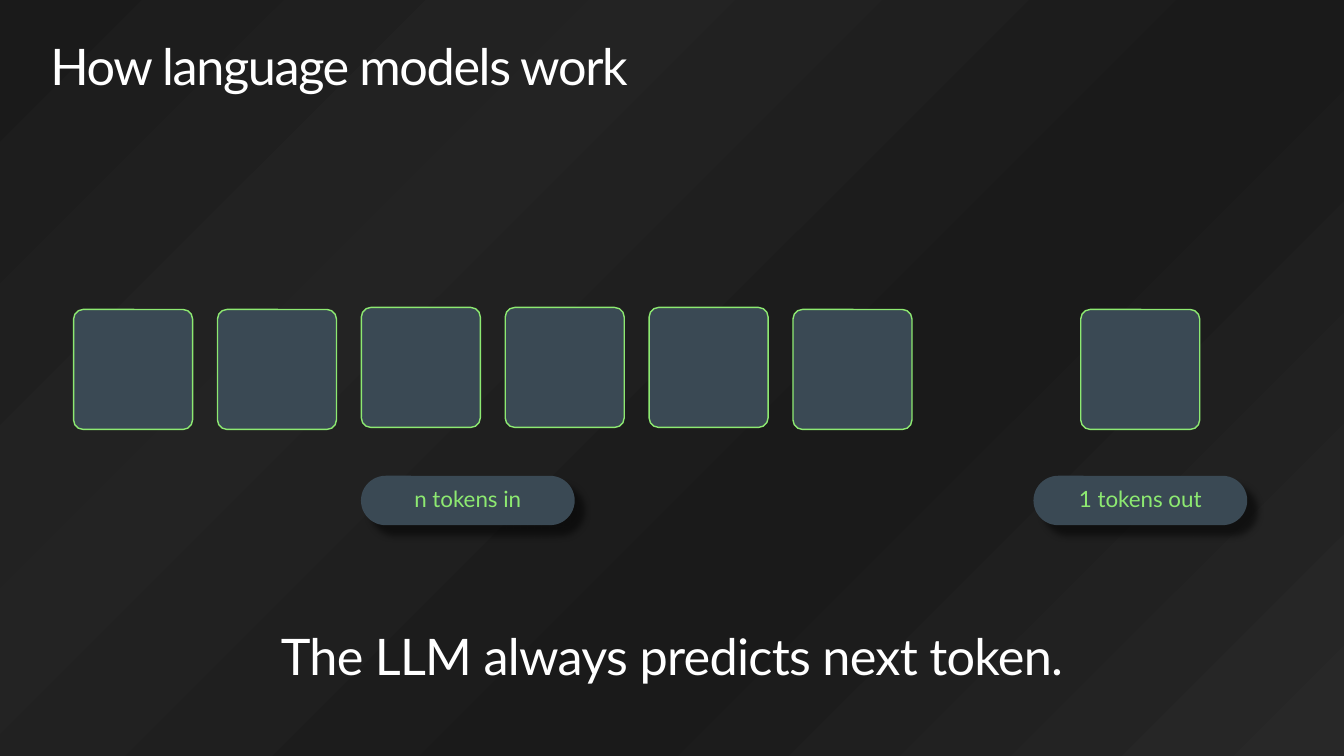
from lxml.etree import SubElement
from pptx import Presentation
from pptx.dml.color import RGBColor
from pptx.enum.shapes import MSO_SHAPE
from pptx.enum.text import MSO_ANCHOR, PP_ALIGN
from pptx.oxml.ns import qn
from pptx.util import Inches, Pt

FONT = "Lato"
WHITE = "FFFFFF"
GREEN = "8DE971"
SLATE = "3A4954"
BACKGROUND_STOPS = [(0, "1A1A1A"), (27, "222222"), (28, "232323"), (63, "1A1A1A"), (100, "282828")]
TOKEN_PITCH = 1.427
TOKEN_TOPS = {0: 3.07, 1: 3.07, 2: 3.05, 3: 3.05, 4: 3.05, 5: 3.07, 7: 3.07}


def color(value):
    """Turn a hex string into a colour."""
    return RGBColor.from_string(value)


def set_background(slide):
    """Fill the slide with a diagonal dark gradient."""
    fill = slide.background.fill
    fill.gradient()
    fill.gradient_angle = 315
    stops = slide.element.xpath(".//a:gsLst")[0]
    stops.clear()
    for position, value in BACKGROUND_STOPS:
        stop = SubElement(stops, qn("a:gs"), pos=str(position * 1000))
        SubElement(stop, qn("a:srgbClr"), val=value)


def write_text(shape, text, size, value, align, margins, spacing=0, line_spacing=1.0):
    """Write one styled line into a shape."""
    frame = shape.text_frame
    frame.word_wrap = True
    horizontal, vertical = margins
    frame.margin_left = frame.margin_right = Inches(horizontal)
    frame.margin_top = frame.margin_bottom = Inches(vertical)
    paragraph = frame.paragraphs[0]
    paragraph.alignment = align
    paragraph.line_spacing = line_spacing
    run = paragraph.add_run()
    run.text = text
    run.font.name = FONT
    run.font.size = Pt(size)
    run.font.color.rgb = color(value)
    if spacing:
        run.font._element.set("spc", str(int(spacing * 100)))


def add_text(slide, left, top, width, height, *text_options, **spacing_options):
    """Add a text box with one line."""
    box = slide.shapes.add_textbox(Inches(left), Inches(top), Inches(width), Inches(height))
    write_text(box, *text_options, **spacing_options)


def add_rounded(slide, left, top, width, height, rounding):
    """Add a slate rounded rectangle without shadow."""
    shape = slide.shapes.add_shape(
        MSO_SHAPE.ROUNDED_RECTANGLE, Inches(left), Inches(top), Inches(width), Inches(height)
    )
    shape.adjustments[0] = rounding
    shape.shadow.inherit = False
    shape.fill.solid()
    shape.fill.fore_color.rgb = color(SLATE)
    return shape


def add_token(slide, left, top):
    """Add a green-edged token square."""
    token = add_rounded(slide, left, top, 1.18, 1.19, 0.08)
    token.line.color.rgb = color(GREEN)
    token.line.width = Pt(1)


def add_pill(slide, left, text):
    """Add a label pill with a soft shadow."""
    pill = add_rounded(slide, left, 4.72, 2.12, 0.49, 0.5)
    pill.line.fill.background()
    pill.text_frame.vertical_anchor = MSO_ANCHOR.MIDDLE
    write_text(pill, text, 16, GREEN, PP_ALIGN.CENTER, (0.12, 0), line_spacing=0.9)
    effects = pill.element.spPr.find(qn("a:effectLst"))
    shadow = SubElement(
        effects, qn("a:outerShdw"), blurRad=str(Pt(5)), dist=str(Pt(10)),
        dir="2700000", algn="tl", rotWithShape="0",
    )
    shade = SubElement(shadow, qn("a:srgbClr"), val="000000")
    SubElement(shade, qn("a:alpha"), val="50000")


def main():
    """Build and save the slide."""
    presentation = Presentation()
    presentation.slide_width = Inches(13.33)
    presentation.slide_height = Inches(7.5)
    slide = presentation.slides.add_slide(presentation.slide_layouts[6])
    set_background(slide)
    add_text(slide, 0.5, 0.32, 12.33, 0.98, "How language models work", 36, WHITE,
             PP_ALIGN.LEFT, (0, 0.1), spacing=-1, line_spacing=0.9)
    for column, top in TOKEN_TOPS.items():
        add_token(slide, 0.73 + column * TOKEN_PITCH, top)
    add_pill(slide, 3.58, "n tokens in")
    add_pill(slide, 10.25, "1 tokens out")
    add_text(slide, 0.64, 6.2, 12.05, 0.61, "The LLM always predicts next token.", 36, WHITE,
             PP_ALIGN.CENTER, (0, 0), spacing=-0.5)
    presentation.save("out.pptx")


if __name__ == "__main__":
    main()
